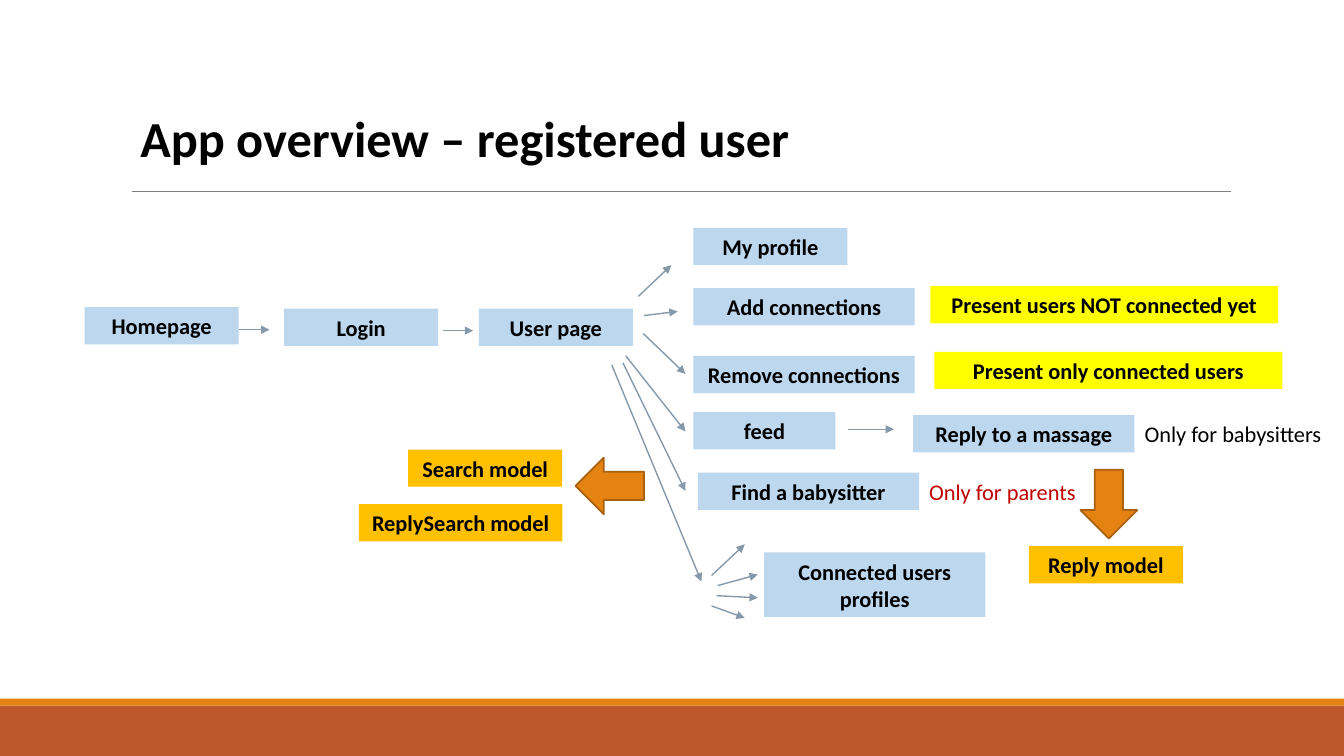
from lxml.etree import SubElement
from pptx import Presentation
from pptx.dml.color import RGBColor
from pptx.enum.shapes import MSO_CONNECTOR, MSO_SHAPE
from pptx.enum.text import MSO_ANCHOR, MSO_AUTO_SIZE, PP_ALIGN
from pptx.oxml.ns import qn
from pptx.util import Pt

BLACK, RED, GREY, SLATE = "000000", "C00000", "808080", "8699AA"
BLUE, YELLOW, AMBER = "BDD7EE", "FFFF00", "FFC000"
ORANGE, RUST, BROWN = "E48312", "BD582C", "A9610D"
NARROW, WIDE, ROW = 110, 158, 26.6


def color(hex_string):
    return RGBColor.from_string(hex_string)


def add_text(shape, text, size=16, bold=True, font_color=BLACK, align=PP_ALIGN.CENTER):
    frame = shape.text_frame
    frame.word_wrap = True
    frame.auto_size = MSO_AUTO_SIZE.SHAPE_TO_FIT_TEXT
    paragraph = frame.paragraphs[0]
    paragraph.alignment = align
    run = paragraph.add_run()
    run.text = text
    run.font.name = "Calibri"
    run.font.size = Pt(size)
    run.font.bold = bold
    run.font.color.rgb = color(font_color)


def add_block(shapes, kind, left, top, width, height, fill, outline=None):
    shape = shapes.add_shape(kind, Pt(left), Pt(top), Pt(width), Pt(height))
    shape.shadow.inherit = False
    shape.fill.solid()
    shape.fill.fore_color.rgb = color(fill)
    if outline:
        shape.line.color.rgb = color(outline)
        shape.line.width = Pt(1.25)
    else:
        shape.line.fill.background()
    return shape


def add_label(shapes, text, left, top, width=NARROW, fill=BLUE, height=ROW):
    shape = add_block(shapes, MSO_SHAPE.RECTANGLE, left, top, width, height, fill)
    add_text(shape, text)


def add_remark(shapes, text, left, top, width, font_color=BLACK):
    shape = shapes.add_textbox(Pt(left), Pt(top), Pt(width), Pt(ROW))
    add_text(shape, text, bold=False, font_color=font_color, align=PP_ALIGN.LEFT)


def add_line(shapes, x1, y1, x2, y2, line_color=SLATE, width=1, arrow=True):
    line = shapes.add_connector(MSO_CONNECTOR.STRAIGHT, Pt(x1), Pt(y1), Pt(x2), Pt(y2))
    line.line.color.rgb = color(line_color)
    line.line.width = Pt(width)
    properties = line._element.spPr
    if arrow:
        SubElement(properties.find(qn("a:ln")), qn("a:tailEnd"), type="triangle")
    SubElement(properties, qn("a:effectLst"))


def add_arrows(shapes, left, top, arrows):
    for x1, y1, x2, y2 in arrows:
        add_line(shapes, left + x1, top + y1, left + x2, top + y2)


def add_frame(shapes, width, height):
    """Footer bands and the rule under the title."""
    add_block(shapes, MSO_SHAPE.RECTANGLE, 0, height - 36, width, 36, RUST)
    add_block(shapes, MSO_SHAPE.RECTANGLE, 0, height - 41, width, 5, ORANGE)
    add_line(shapes, 94.3, 136.8, width - 81, 136.8, GREY, 0.5, arrow=False)


def add_title(title, left, top, width, height):
    title.left, title.top, title.width, title.height = map(Pt, (left, top, width, height))
    title.text_frame.vertical_anchor = MSO_ANCHOR.TOP
    add_text(title, "App overview – registered user", size=36, align=PP_ALIGN.LEFT)


def add_entry_path(shapes, left, top):
    """Homepage, login and user page in a row."""
    pages = (("Homepage", 0, 0), ("Login", 142.5, 1), ("User page", 281.5, 1))
    for text, x, y in pages:
        add_label(shapes, text, left + x, top + y)
    add_arrows(shapes, left, top, ((110.5, 16, 132, 16), (256, 16.7, 277.5, 16.7)))


def add_menu(shapes, left, top):
    """Pages that open from the user page."""
    entries = (
        ("My profile", 58.3, 0, NARROW),
        ("Add connections", 58.3, 43.2, WIDE),
        ("Remove connections", 58.3, 91.5, WIDE),
        ("feed", 58.3, 131.8, 101.5),
        ("Find a babysitter", 61.5, 175, WIDE),
    )
    for text, x, y, width in entries:
        add_label(shapes, text, left + x, top + y, width)
    add_arrows(shapes, left, top, (
        (19, 49, 42.5, 26.7), (23, 62.7, 47, 59.8), (22.5, 75.6, 52.6, 104.4),
        (10, 91.5, 52.6, 145.5), (8, 96.5, 52.6, 188), (0, 98, 64, 252.7),
    ))


def add_connection_notes(shapes, left, top):
    add_label(shapes, "Present users NOT connected yet", left, top, 248.5, YELLOW)
    add_label(shapes, "Present only connected users", left + 3, top + 46.8, 248.5, YELLOW)


def add_reply_branch(shapes, left, top):
    """Reply to a feed entry, and its model."""
    add_line(shapes, left, top + 10, left + 33, top + 10)
    add_label(shapes, "Reply to a massage", left + 46.8, top, WIDE)
    add_remark(shapes, "Only for babysitters", left + 205, top, 149)
    add_block(shapes, MSO_SHAPE.DOWN_ARROW, left + 166.3, top + 39, 40.5, 49, ORANGE, BROWN)
    add_label(shapes, "Reply model", left + 129.5, top + 93.6, fill=AMBER)


def add_search_branch(shapes, left, top):
    """Models behind the babysitter search."""
    add_label(shapes, "Search model", left + 35.3, top, fill=AMBER)
    add_label(shapes, "ReplySearch model", left, top + 39, 145.5, AMBER)
    arrow = add_block(shapes, MSO_SHAPE.DOWN_ARROW, left + 159, top + 1.5, 40.5, 49, ORANGE, BROWN)
    arrow.rotation = 90
    add_remark(shapes, "Only for parents", left + 400.3, top + 16.6, 160, RED)


def add_profiles(shapes, left, top):
    """Fan of arrows to the connected profiles."""
    group = shapes.add_group_shape().shapes
    add_arrows(group, left, top, (
        (0, 22.3, 23.7, 0), (4.3, 29.5, 33, 21.6),
        (3.6, 36.7, 33, 38.2), (0, 44, 23.7, 52.6),
    ))
    add_label(group, "Connected users profiles", left + 37.5, top + 5.8, WIDE, height=46)


def main():
    presentation = Presentation()
    presentation.slide_width, presentation.slide_height = Pt(960), Pt(540)
    slide = presentation.slides.add_slide(presentation.slide_layouts[5])
    shapes = slide.shapes
    add_frame(shapes, 960, 540)
    add_title(shapes.title, 93, 72.7, 500, 51)
    add_entry_path(shapes, 60.5, 219.5)
    add_menu(shapes, 437, 162.7)
    add_profiles(shapes, 508.3, 388.8)
    add_connection_notes(shapes, 664.5, 204.5)
    add_reply_branch(shapes, 605.5, 296.6)
    add_search_branch(shapes, 256.3, 321.1)
    presentation.save("out.pptx")


if __name__ == "__main__":
    main()
